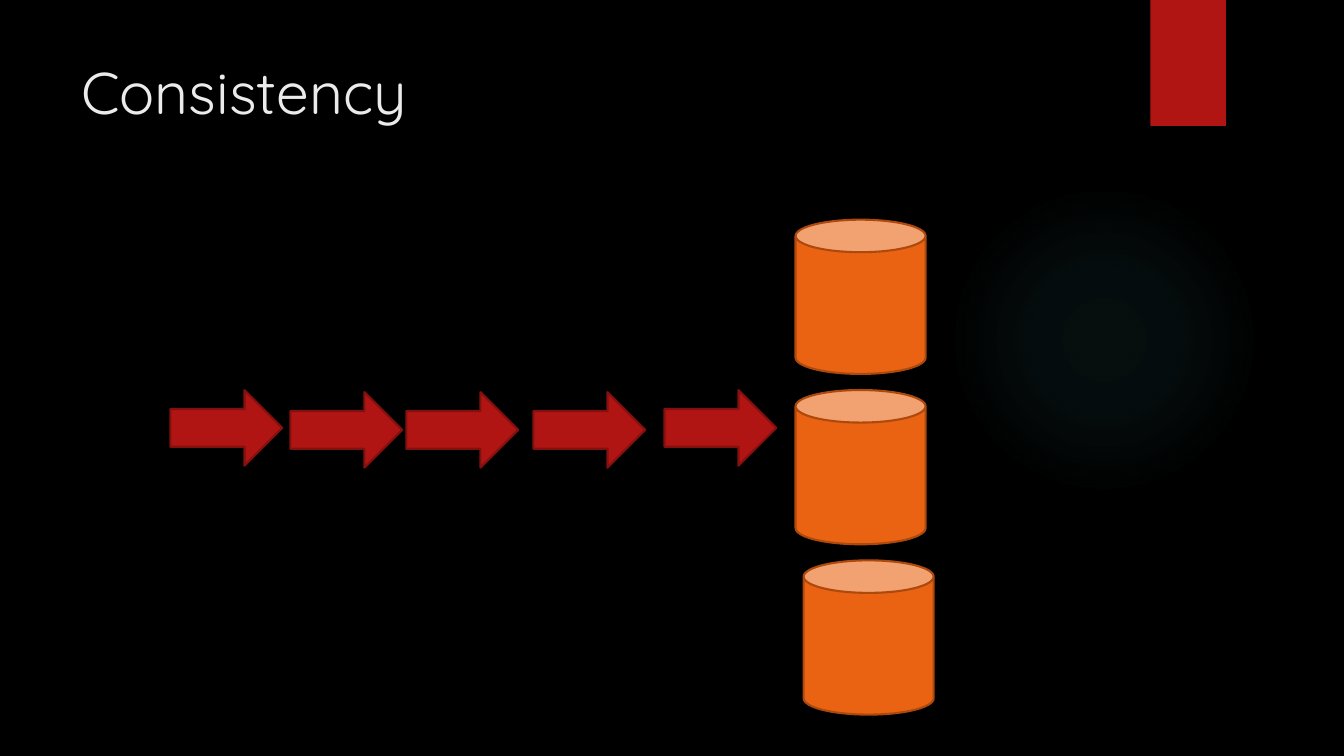
from pptx import Presentation
from pptx.dml.color import RGBColor
from pptx.enum.shapes import MSO_SHAPE as Preset
from pptx.enum.text import MSO_ANCHOR as Anchor
from pptx.oxml import parse_xml
from pptx.oxml.ns import nsdecls
from pptx.util import Inches, Pt

BLACK = RGBColor(0x00, 0x00, 0x00)
RED = RGBColor(0xB0, 0x15, 0x13)
DARK_RED = RGBColor(0x82, 0x10, 0x0E)
ORANGE = RGBColor(0xEA, 0x63, 0x12)
DARK_ORANGE = RGBColor(0xAD, 0x49, 0x0D)
TEAL = RGBColor(0x50, 0xB9, 0xC1)
OFF_WHITE = RGBColor(0xEB, 0xEB, 0xEB)

deck = Presentation()
deck.slide_width, deck.slide_height = Inches(13.33), Inches(7.5)
page = deck.slides.add_slide(deck.slide_layouts[6])
page.background.fill.solid()
page.background.fill.fore_color.rgb = BLACK


def add_preset(preset, left, top, width, height, fill, line=None):
    """Add a flat preset shape, sized in inches, outlined only if line is given."""
    shape = page.shapes.add_shape(
        preset, Inches(left), Inches(top), Inches(width), Inches(height))
    shape.shadow.inherit = False
    shape.fill.solid()
    shape.fill.fore_color.rgb = fill
    if line is None:
        shape.line.fill.background()
    else:
        shape.line.color.rgb = line
        shape.line.width = Pt(1.5)
    return shape


# Faint glow: teal fading out from the centre
glow = add_preset(Preset.OVAL, 9.41, 1.83, 3.08, 3.08, TEAL)
stops = "".join(
    f'<a:gs pos="{position * 1000}"><a:srgbClr val="{TEAL}">'
    f'<a:alpha val="{alpha * 1000}"/></a:srgbClr></a:gs>'
    for position, alpha in [(0, 7), (36, 6), (69, 0)])
gradient = parse_xml(
    f'<a:gradFill {nsdecls("a")} rotWithShape="1"><a:gsLst>{stops}</a:gsLst>'
    '<a:path path="circle"><a:fillToRect l="50000" t="50000" r="50000" b="50000"/>'
    '</a:path></a:gradFill>')
properties = glow.element.spPr
solid = properties.find("{*}solidFill")
properties.replace(solid, gradient)

add_preset(Preset.RECTANGLE, 11.41, 0, 0.75, 1.25, RED)

title = page.shapes.add_textbox(
    Inches(0.71), Inches(0.5), Inches(10.29), Inches(1.53))
title.text_frame.word_wrap = True
title.text_frame.vertical_anchor = Anchor.TOP
span = title.text_frame.paragraphs[0].add_run()
span.text = "Consistency"
span.font.name = "Quicksand"
span.font.size = Pt(42)
span.font.color.rgb = OFF_WHITE

# Replicas stacked at an equal pitch
for row, left in enumerate([7.89, 7.89, 7.97]):
    add_preset(Preset.CAN, left, 2.18 + row * 1.69, 1.29, 1.53, ORANGE, DARK_ORANGE)

# Ordered stream of writes heading for the replicas
for left, top in [(1.69, 3.87), (2.88, 3.89), (4.03, 3.89), (5.29, 3.89), (6.59, 3.87)]:
    add_preset(Preset.RIGHT_ARROW, left, top, 1.11, 0.75, RED, DARK_RED)

deck.save("out.pptx")
